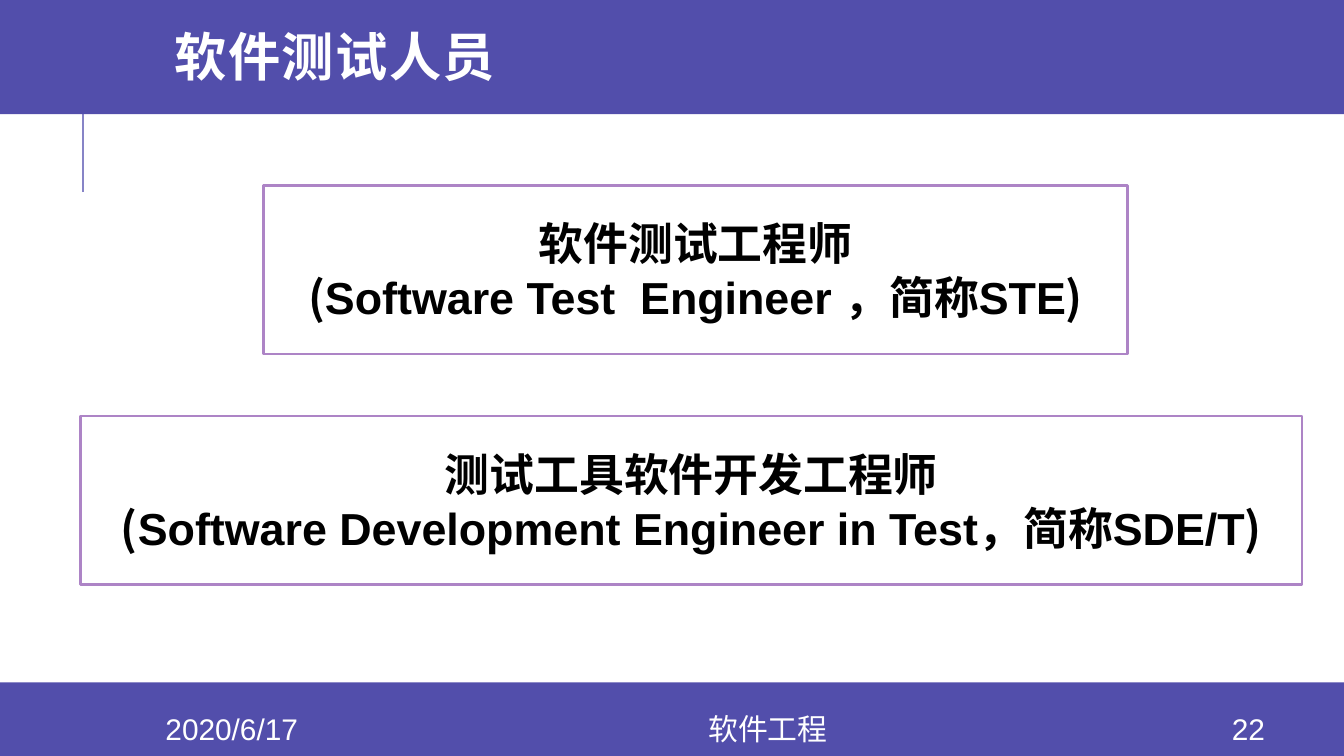
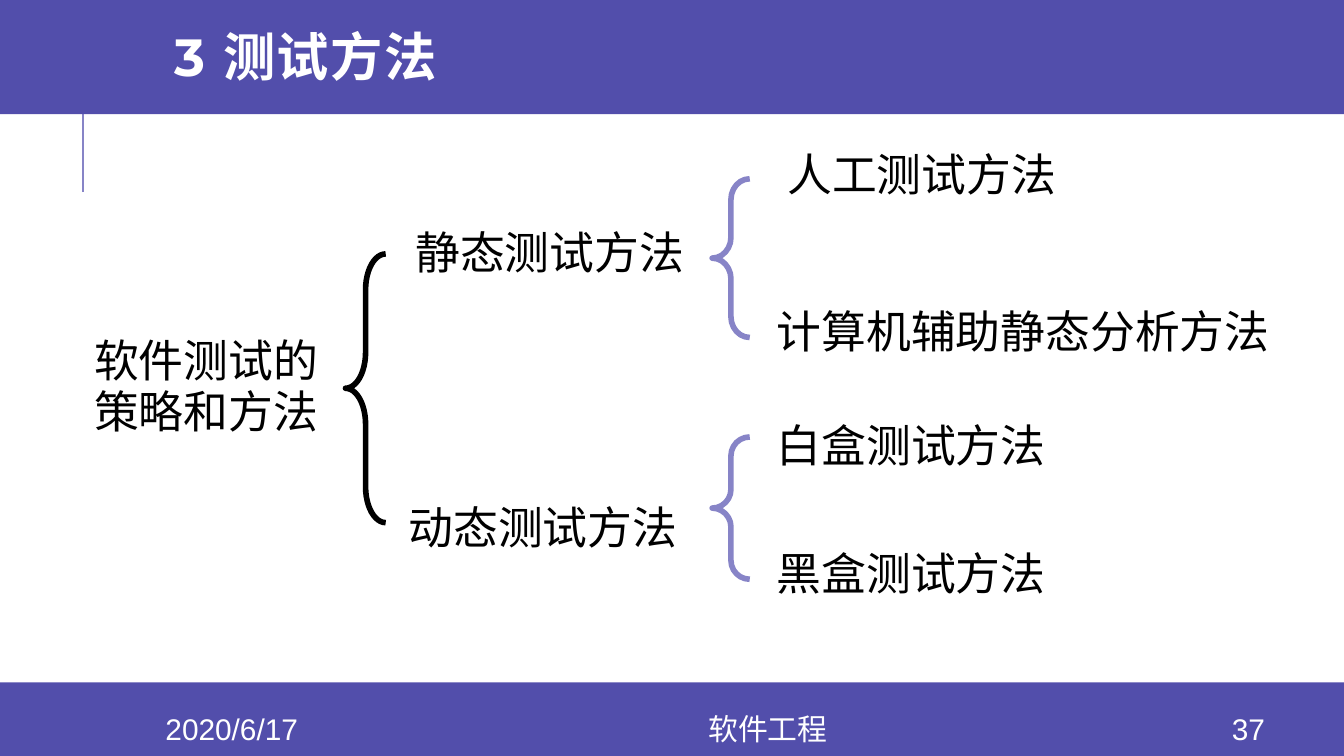
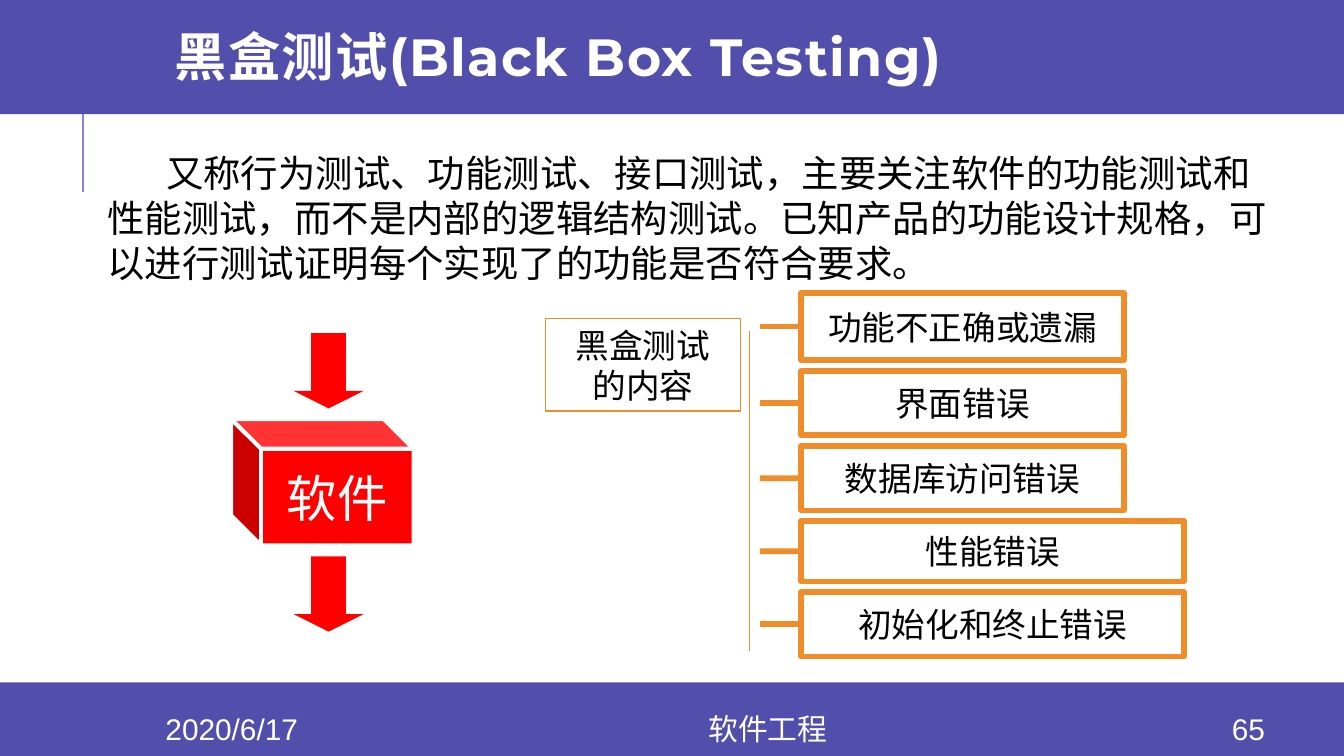
from dataclasses import dataclass

from lxml import etree
from pptx import Presentation
from pptx.dml.color import RGBColor
from pptx.enum.shapes import MSO_CONNECTOR, MSO_SHAPE
from pptx.enum.text import MSO_ANCHOR, MSO_AUTO_SIZE, PP_ALIGN
from pptx.oxml.ns import qn
from pptx.util import Cm, Pt

RECTANGLE, CUBE = MSO_SHAPE.RECTANGLE, MSO_SHAPE.CUBE
BRACE, CALLOUT, ARROW = MSO_SHAPE.LEFT_BRACE, MSO_SHAPE.LINE_CALLOUT_1, MSO_SHAPE.DOWN_ARROW
STRAIGHT = MSO_CONNECTOR.STRAIGHT
LEFT, CENTER = PP_ALIGN.LEFT, PP_ALIGN.CENTER
TOP, MIDDLE = MSO_ANCHOR.TOP, MSO_ANCHOR.MIDDLE
GROW = MSO_AUTO_SIZE.SHAPE_TO_FIT_TEXT
LEFT_SIDE = 1


@dataclass(frozen=True)
class Theme:
    band: str = "524EAB"
    accent: str = "8784C7"
    frame: str = "AD84C6"
    orange: str = "EF8D2B"
    red: str = "FF0000"
    white: str = "FFFFFF"
    black: str = "000000"
    body_font: str = "Arial"
    title_font: str = "Montserrat"
    chinese_font: str = "Noto Sans CJK SC"
    title_size: float = 28
    software_size: float = 27
    label_size: float = 24
    body_size: float = 20
    box_size: float = 18
    footer_size: float = 16


THEME = Theme()
WIDTH, HEIGHT = 25.4, 14.29

# All places are left, top, width, height in centimetres.
TITLE_PLACE = (3.05, 0, 21.56, 2.31)
BANDS = [(0, 12.9, WIDTH, HEIGHT - 12.9), (0, 0, WIDTH, 2.16)]
DATE = ("2020/6/17", (2.13, 13.49, 4.5, 0.58))
COURSE = ("软件工程", (6.63, 13.49, 15.77, 0.58))
NUMBER_PLACE = (22.58, 13.49, 2.03, 0.58)

ROLES = [
    ("测试工具软件开发工程师", "Software Development Engineer in Test，简称SDE/T",
     (1.52, 7.87, 23.09, 3.18)),
    ("软件测试工程师", "Software Test  Engineer ，简称STE",
     (4.98, 3.51, 16.33, 3.18)),
]

# Lines, place, line spacing
METHODS = [
    (["软件测试的", "策略和方法"], (1.6, 6.27, 4.93, 2.13), 0.95),
    (["静态测试方法"], (7.67, 4.22, 7.57, 1.17), 0.95),
    (["动态测试方法"], (7.54, 9.42, 7.87, 1.17), 0.95),
    (["人工测试方法"], (14.7, 2.74, 8.44, 1.17), 0.95),
    (["计算机辅助静态分析方法"], (14.5, 5.84, 10.34, 1.02), 0.8),
    (["白盒测试方法"], (14.5, 7.87, 8.03, 1.17), 0.95),
    (["黑盒测试方法"], (14.5, 10.29, 8.03, 1.17), 0.95),
]
# Place, curvature, colour
BRACES = [
    ((6.53, 4.8, 0.76, 5.08), 0.89, THEME.black),
    ((13.46, 3.38, 0.71, 3), 0.55, THEME.accent),
    ((13.46, 8.26, 0.71, 2.69), 0.5, THEME.accent),
]

BLACK_BOX_TEXT = (
    "又称行为测试、功能测试、接口测试，主要关注软件的功能测试和性能测试，"
    "而不是内部的逻辑结构测试。已知产品的功能设计规格，"
    "可以进行测试证明每个实现了的功能是否符合要求。"
)
# Label, width, height
ERRORS = [
    ("功能不正确或遗漏", 6.1, 1.27),
    ("界面错误", 6.1, 1.22),
    ("数据库访问错误", 6.1, 1.22),
    ("性能错误", 7.24, 1.14),
    ("初始化和终止错误", 7.24, 1.22),
]
ERROR_LEFT, ERROR_TOP, ERROR_GAP, TICK_LENGTH = 15.14, 5.54, 0.2, 0.78
SOFTWARE_PLACE = (4.37, 7.92, 3.45, 2.39)
ARROW_LEFT, ARROW_TOPS, ARROW_WIDTH, ARROW_HEIGHT = 5.55, (10.52, 6.3), 1.32, 1.42


def lengths(place):
    return [Cm(value) for value in place]


def add_run(paragraph, text, size, color=THEME.black, font=THEME.body_font, bold=False):
    run = paragraph.add_run()
    run.text = text
    run.font.name = font
    run.font.size = Pt(size)
    run.font.bold = bold
    run.font.color.rgb = RGBColor.from_string(color)
    etree.SubElement(run.font._element, qn("a:ea")).set("typeface", THEME.chinese_font)
    return run


def add_paragraphs(shape, count, align=CENTER, anchor=MIDDLE, wrap=True):
    """Set up the text frame and return its empty paragraphs."""
    frame = shape.text_frame
    frame.word_wrap = wrap
    frame.vertical_anchor = anchor
    paragraphs = [frame.paragraphs[0]] + [frame.add_paragraph() for _ in range(count - 1)]
    for paragraph in paragraphs:
        paragraph.alignment = align
    return paragraphs


def add_lines(shape, lines, size, color=THEME.black, **layout):
    paragraphs = add_paragraphs(shape, len(lines), **layout)
    for paragraph, line in zip(paragraphs, lines):
        add_run(paragraph, line, size, color)
    return paragraphs


def add_textbox(slide, place):
    return slide.shapes.add_textbox(*lengths(place))


def add_shape(shapes, kind, place, fill=None, line=None, weight=1, adjustments=()):
    shape = shapes.add_shape(kind, *lengths(place))
    shape.shadow.inherit = False
    if fill:
        shape.fill.solid()
        shape.fill.fore_color.rgb = RGBColor.from_string(fill)
    else:
        shape.fill.background()
    if line:
        shape.line.color.rgb = RGBColor.from_string(line)
        shape.line.width = Pt(weight)
    else:
        shape.line.fill.background()
    for index, value in enumerate(adjustments):
        shape.adjustments[index] = value
    return shape


def add_line(shapes, start, end, color, weight):
    connector = shapes.add_connector(STRAIGHT, *lengths(start + end))
    connector.line.color.rgb = RGBColor.from_string(color)
    connector.line.width = Pt(weight)
    etree.SubElement(connector._element.spPr, qn("a:effectLst"))
    return connector


def add_base_slide(presentation, title, number):
    """Add a slide with the shared bands, title and footer."""
    slide = presentation.slides.add_slide(presentation.slide_layouts[6])
    add_line(slide.shapes, (1.57, 3.63), (1.57, 1.73), THEME.accent, 1.5)
    for place in BANDS:
        add_shape(slide.shapes, RECTANGLE, place, THEME.band)
    paragraph = add_paragraphs(add_textbox(slide, TITLE_PLACE), 1, align=LEFT)[0]
    paragraph.line_spacing = 0.8
    run = add_run(paragraph, title, THEME.title_size, THEME.white, THEME.title_font, True)
    run.font._element.set("spc", "80")
    for text, place in (DATE, COURSE, (number, NUMBER_PLACE)):
        add_lines(add_textbox(slide, place), [text], THEME.footer_size, THEME.white)
    return slide


def build_roles(presentation):
    slide = add_base_slide(presentation, "软件测试人员", "22")
    for chinese, english, place in ROLES:
        box = add_shape(slide.shapes, RECTANGLE, place, THEME.white, THEME.frame, 1.25)
        name, detail = add_paragraphs(box, 2, wrap=False)
        for paragraph, text, font in (
            (name, chinese, THEME.chinese_font),
            (detail, "(", THEME.chinese_font),
            (detail, english, THEME.body_font),
            (detail, ")", THEME.chinese_font),
        ):
            add_run(paragraph, text, THEME.label_size, font=font, bold=True)


def build_methods(presentation):
    slide = add_base_slide(presentation, "3 测试方法", "37")
    for lines, place, spacing in METHODS:
        label = add_textbox(slide, place)
        frame = label.text_frame
        frame.margin_left = frame.margin_right = Cm(0.18)
        frame.margin_top = frame.margin_bottom = Cm(0.1)
        frame.auto_size = GROW
        for paragraph in add_lines(label, lines, THEME.label_size, align=LEFT, anchor=TOP):
            paragraph.line_spacing = spacing
    for place, curvature, color in BRACES:
        add_shape(slide.shapes, BRACE, place, None, color, 3, (curvature, 0.5))


def add_error_list(slide):
    shapes = slide.shapes.add_group_shape().shapes
    callout = add_shape(shapes, CALLOUT, (10.31, 6.02, 3.68, 1.75), None, THEME.orange,
                        0.75, (0.136, 1.049, 3.588, 1.049))
    add_lines(callout, ["黑盒测试", "的内容"], THEME.box_size)
    top = ERROR_TOP
    for label, width, height in ERRORS:
        box = add_shape(shapes, RECTANGLE, (ERROR_LEFT, top, width, height),
                        None, THEME.orange, 3)
        add_lines(box, [label], THEME.box_size, wrap=False)
        middle = top + height / 2
        tick = add_line(shapes, (ERROR_LEFT - TICK_LENGTH, middle), (ERROR_LEFT, middle),
                        THEME.orange, 3)
        tick.end_connect(box, LEFT_SIDE)
        top += height + ERROR_GAP


def add_software_flow(slide):
    shapes = slide.shapes.add_group_shape().shapes
    cube = add_shape(shapes, CUBE, SOFTWARE_PLACE, THEME.red, THEME.white, 2.25, (0.236,))
    cube._element.spPr.find(qn("a:xfrm")).set("flipH", "1")
    add_lines(cube, ["软件"], THEME.software_size, THEME.white, wrap=False)
    for top in ARROW_TOPS:
        add_shape(shapes, ARROW, (ARROW_LEFT, top, ARROW_WIDTH, ARROW_HEIGHT),
                  THEME.red, adjustments=(0.5, 0.25))


def build_black_box(presentation):
    slide = add_base_slide(presentation, "黑盒测试(Black Box Testing)", "65")
    body = add_textbox(slide, (1.78, 2.72, 22.5, 2.82))
    body.text_frame.auto_size = GROW
    paragraph = add_lines(body, [BLACK_BOX_TEXT], THEME.body_size, align=LEFT, anchor=TOP)[0]
    properties = paragraph._p.get_or_add_pPr()
    properties.set("marL", "0")
    properties.set("indent", str(Cm(1.11)))
    add_error_list(slide)
    add_software_flow(slide)


def main():
    presentation = Presentation()
    presentation.slide_width, presentation.slide_height = Cm(WIDTH), Cm(HEIGHT)
    build_roles(presentation)
    build_methods(presentation)
    build_black_box(presentation)
    presentation.save("out.pptx")


if __name__ == "__main__":
    main()
